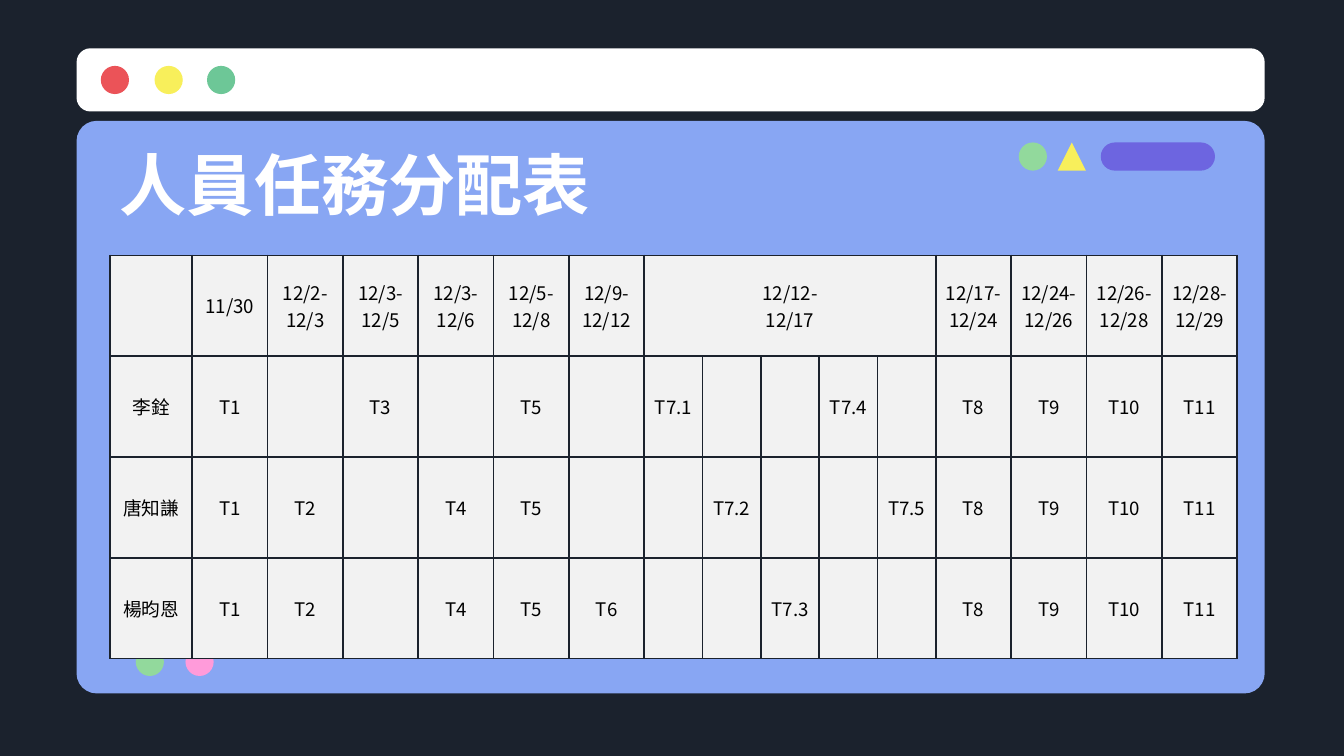
from lxml import etree
from pptx import Presentation
from pptx.dml.color import RGBColor
from pptx.enum import shapes, text
from pptx.oxml import ns
from pptx.util import Inches, Pt

FONT = "Noto Sans CJK SC"
NAVY = RGBColor(0x1B, 0x22, 0x2D)
BLUE = RGBColor(0x88, 0xA6, 0xF3)
WHITE = RGBColor(0xFF, 0xFF, 0xFF)
BLACK = RGBColor(0, 0, 0)
GREY = RGBColor(0xF2, 0xF2, 0xF2)
RED = RGBColor(0xEB, 0x53, 0x58)
YELLOW = RGBColor(0xF8, 0xEF, 0x5B)
GREEN = RGBColor(0x6D, 0xC7, 0x97)
MINT = RGBColor(0x92, 0xD9, 0x9C)
VIOLET = RGBColor(0x6D, 0x65, 0xE0)
PINK = RGBColor(0xFF, 0x9B, 0xDA)

TITLE = "人員任務分配表"
DATES = ["11/30", "12/2-\n12/3", "12/3-\n12/5", "12/3-\n12/6", "12/5-\n12/8",
         "12/9-\n12/12", "12/12-\n12/17", "12/17-\n12/24", "12/24-\n12/26",
         "12/26-\n12/28", "12/28-\n12/29"]
TASKS = ["T1", "T2", "T3", "T4", "T5", "T6", "T7.1", "T7.2", "T7.3", "T7.4",
         "T7.5", "T8", "T9", "T10", "T11"]
SHARED = ["T1", "T5", "T8", "T9", "T10", "T11"]
MEMBERS = [
    ("李銓", SHARED + ["T3", "T7.1", "T7.4"]),
    ("唐知謙", SHARED + ["T2", "T4", "T7.2", "T7.5"]),
    ("楊昀恩", SHARED + ["T2", "T4", "T6", "T7.3"]),
]
SPLIT_START, SPLIT_COUNT = 7, 5
TABLE_WIDTH, NAME_WIDTH, SPLIT_WIDTH, ROW_HEIGHT = 8.39, 0.61, 2.17, 0.75

DOT = 0.21
KIND = shapes.MSO_SHAPE
DECORATIONS = [
    (KIND.ROUNDED_RECTANGLE, 0.57, 0.9, 8.84, 4.26, BLUE, 0.035),
    (KIND.ROUNDED_RECTANGLE, 0.57, 0.36, 8.84, 0.47, WHITE, 0.22),
    (KIND.OVAL, 0.75, 0.49, DOT, DOT, RED, None),
    (KIND.OVAL, 1.15, 0.49, DOT, DOT, YELLOW, None),
    (KIND.OVAL, 1.54, 0.49, DOT, DOT, GREEN, None),
    (KIND.OVAL, 7.58, 1.06, DOT, DOT, MINT, None),
    (KIND.ISOSCELES_TRIANGLE, 7.87, 1.06, DOT, DOT, YELLOW, None),
    (KIND.ROUNDED_RECTANGLE, 8.19, 1.06, 0.85, DOT, VIOLET, 0.5),
    (KIND.OVAL, 1.38, 4.82, DOT, DOT, PINK, None),
    (KIND.OVAL, 1.01, 4.82, DOT, DOT, MINT, None),
]


def add_decoration(slide, kind, left, top, width, height, color, corner):
    shape = slide.shapes.add_shape(
        kind, Inches(left), Inches(top), Inches(width), Inches(height))
    shape.shadow.inherit = False
    shape.fill.solid()
    shape.fill.fore_color.rgb = color
    shape.line.fill.background()
    if corner:
        shape.adjustments[0] = corner


def format_paragraph(paragraph, size, color, alignment, bold=False):
    paragraph.alignment = alignment
    font = paragraph.font
    font.name, font.size, font.bold = FONT, Pt(size), bold
    font.color.rgb = color
    properties = paragraph._p.pPr.find(ns.qn("a:defRPr"))
    etree.SubElement(properties, ns.qn("a:ea"), typeface=FONT)


def add_borders(cell):
    properties = cell._tc.get_or_add_tcPr()
    for position, side in enumerate(("lnL", "lnR", "lnT", "lnB")):
        line = etree.Element(ns.qn(f"a:{side}"), w=str(Pt(1)))
        fill = etree.SubElement(line, ns.qn("a:solidFill"))
        etree.SubElement(fill, ns.qn("a:srgbClr"), val=str(NAVY))
        properties.insert(position, line)


def format_cell(cell, content, side_margin, end_margin):
    cell.text = content
    cell.vertical_anchor = text.MSO_ANCHOR.MIDDLE
    cell.margin_left = cell.margin_right = Inches(side_margin)
    cell.margin_top = cell.margin_bottom = Inches(end_margin)
    cell.fill.solid()
    cell.fill.fore_color.rgb = GREY
    add_borders(cell)
    for paragraph in cell.text_frame.paragraphs:
        format_paragraph(paragraph, 10, BLACK, text.PP_ALIGN.CENTER)


def add_schedule(slide):
    header = ["", *DATES[:SPLIT_START], *[""] * (SPLIT_COUNT - 1), *DATES[SPLIT_START:]]
    rows = [header] + [
        [name] + [task if task in assigned else "" for task in TASKS]
        for name, assigned in MEMBERS]
    table = slide.shapes.add_table(
        len(rows), len(header), Inches(0.82), Inches(1.9),
        Inches(TABLE_WIDTH), Inches(ROW_HEIGHT * len(rows))).table
    split = range(SPLIT_START, SPLIT_START + SPLIT_COUNT)
    date_width = (TABLE_WIDTH - NAME_WIDTH - SPLIT_WIDTH) / (len(DATES) - 1)
    for index, column in enumerate(table.columns):
        width = SPLIT_WIDTH / SPLIT_COUNT if index in split else date_width
        column.width = Inches(width if index else NAME_WIDTH)
    for row_index, row in enumerate(rows):
        table.rows[row_index].height = Inches(ROW_HEIGHT)
        for index, content in enumerate(row):
            merged = row_index == 0 and index in split
            margins = (0.11, 0.05) if merged else (0.07, 0.07)
            format_cell(table.cell(row_index, index), content, *margins)
    table.cell(0, split[0]).merge(table.cell(0, split[-1]))


def main():
    presentation = Presentation()
    presentation.slide_width = Inches(10)
    presentation.slide_height = presentation.slide_width * 9 // 16
    slide = presentation.slides.add_slide(presentation.slide_layouts[5])
    slide.background.fill.solid()
    slide.background.fill.fore_color.rgb = NAVY
    for decoration in DECORATIONS:
        add_decoration(slide, *decoration)

    title = slide.shapes.title
    title.left, title.top = Inches(0.79), Inches(1.06)
    title.width, title.height = Inches(8.43), Inches(0.62)
    frame = title.text_frame
    frame.text = TITLE
    frame.vertical_anchor = text.MSO_ANCHOR.MIDDLE
    frame.auto_size = text.MSO_AUTO_SIZE.NONE
    frame.margin_left = frame.margin_right = Inches(0.1)
    frame.margin_top = frame.margin_bottom = Inches(0.1)
    format_paragraph(frame.paragraphs[0], 36, WHITE, text.PP_ALIGN.LEFT, True)
    slide.shapes._spTree.append(title._element)

    add_schedule(slide)
    presentation.save("out.pptx")


if __name__ == "__main__":
    main()
